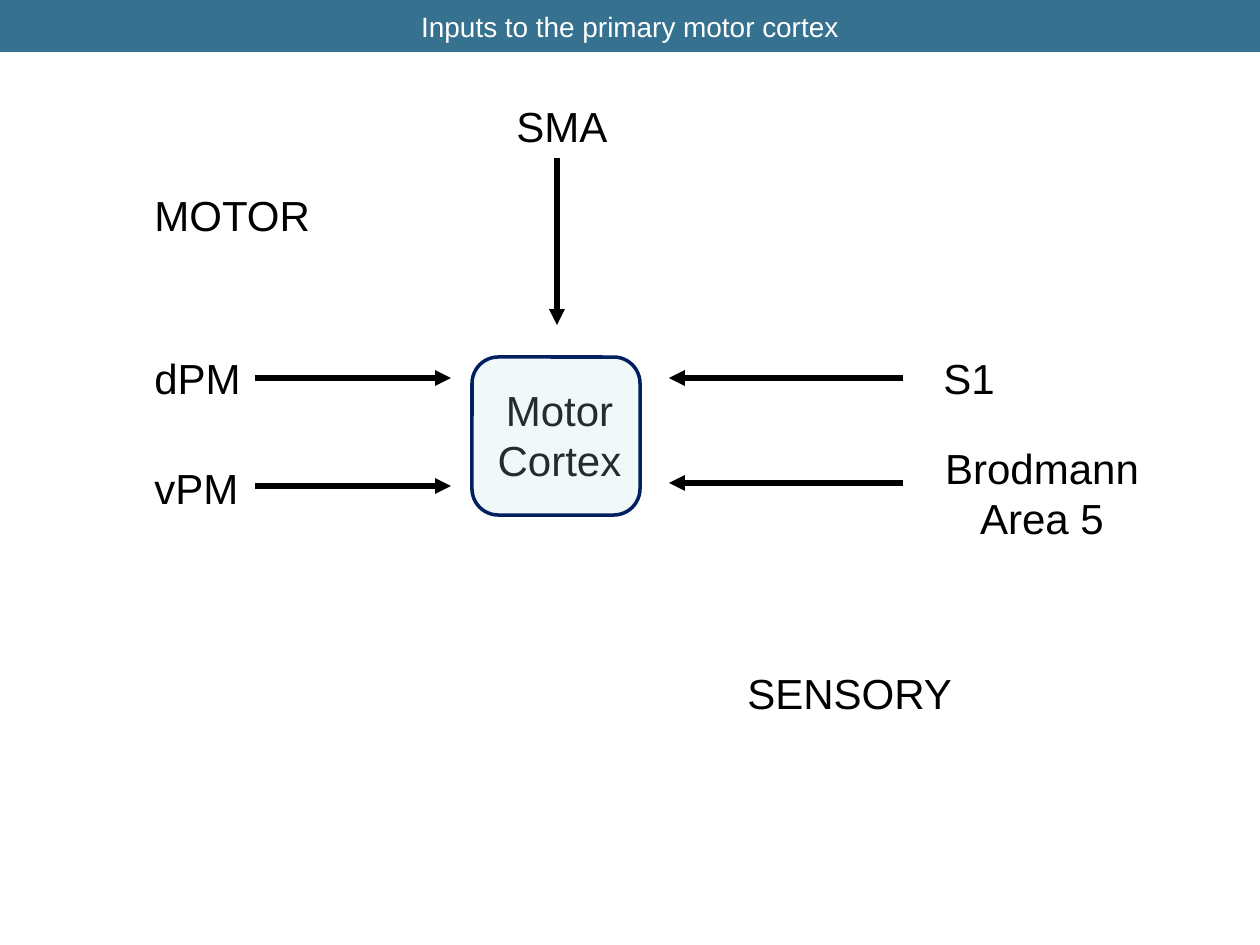
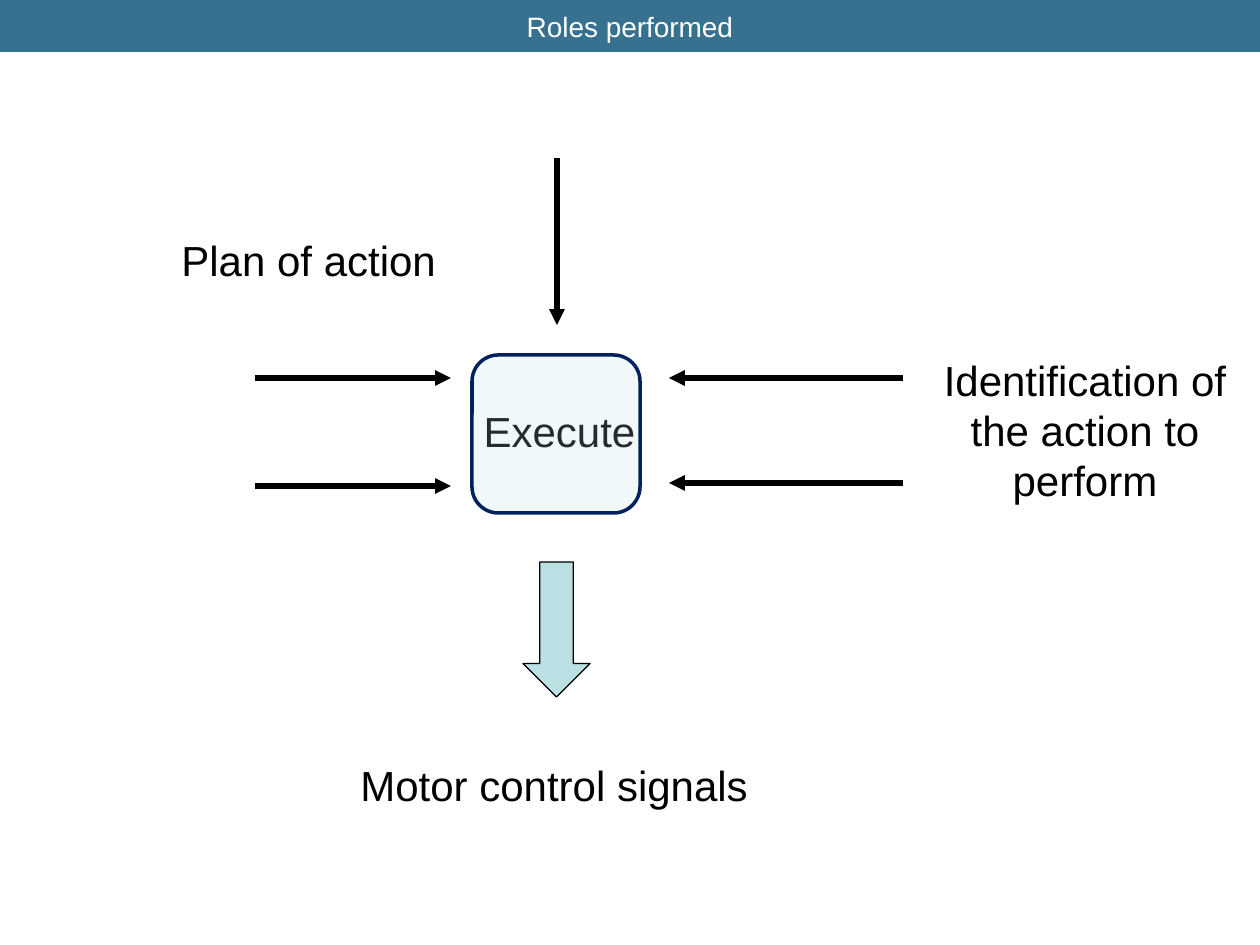
from lxml import etree
from pptx import Presentation
from pptx.dml.color import RGBColor
from pptx.enum.shapes import MSO_CONNECTOR, MSO_SHAPE
from pptx.enum.text import MSO_ANCHOR, PP_ALIGN
from pptx.oxml.ns import qn
from pptx.util import Pt

PX = 914400 / 126
LEFT, CENTER = PP_ALIGN.LEFT, PP_ALIGN.CENTER
TOP, MIDDLE = MSO_ANCHOR.TOP, MSO_ANCHOR.MIDDLE
ROUNDED, DOWN_ARROW = MSO_SHAPE.ROUNDED_RECTANGLE, MSO_SHAPE.DOWN_ARROW
STRAIGHT = MSO_CONNECTOR.STRAIGHT

FONT = "Arial"
BAND, WHITE, BLACK = "36718F", "FFFFFF", "000000"
AQUA, NAVY = "BBE0E3", "002060"
rgb = RGBColor.from_string


def px(*lengths):
    return [round(n * PX) for n in lengths]


def add_text(s, text, box, size=24, color=BLACK, align=LEFT, anchor=TOP, wrap=False, fill=None):
    sp = s.shapes.add_textbox(*px(*box))
    if fill:
        sp.fill.solid()
        sp.fill.fore_color.rgb = rgb(fill)
    tf = sp.text_frame
    tf.word_wrap = wrap
    tf.vertical_anchor = anchor
    tf.text = text
    for p in tf.paragraphs:
        p.alignment = align
        p.font.name = FONT
        p.font.size = Pt(size)
        p.font.color.rgb = rgb(color)


# Arrows pointing at the cortex box: x1, y1, x2, y2
input_arrows = [
    (903, 378, 669, 378),
    (903, 483, 669, 483),
    (255, 378, 451, 378),
    (557, 158, 557, 325),
    (255, 486, 451, 486),
]

# Each slide: title, box label with its top and height, box top, labels around it
slides = [
    ("Inputs to the primary motor cortex", ("Motor Cortex", 378, 165), 357, [
        ("S1", (931, 346, 77, 63), {}),
        ("Brodmann\nArea 5", (931, 436, 222, 115), {"align": CENTER}),
        ("dPM", (142, 346, 113, 63), {}),
        ("vPM", (142, 456, 111, 64), {}),
        ("SMA", (504, 94, 117, 64), {}),
        ("SENSORY", (735, 661, 232, 64), {}),
        ("MOTOR", (142, 183, 183, 63), {}),
    ]),
    ("Roles performed", ("Execute", 399, 115), 355, [
        ("Identification of the action to perform", (930, 348, 310, 165),
         {"align": CENTER, "wrap": True}),
        ("Plan of action", (169, 228, 282, 64), {}),
        ("Motor control signals", (348, 753, 417, 64), {}),
    ]),
]

prs = Presentation()
prs.slide_width, prs.slide_height = px(1260, 945)

for title, (label, label_top, label_height), box_top, labels in slides:
    s = prs.slides.add_slide(prs.slide_layouts[6])

    # Title band
    add_text(s, title, (0, 0, 1260, 52), size=16, color=WHITE, align=CENTER,
             anchor=MIDDLE, wrap=True, fill=BAND)

    # Cortex label under a translucent box
    add_text(s, label, (451, label_top, 217, label_height), align=CENTER, wrap=True)
    sp = s.shapes.add_shape(ROUNDED, *px(472, box_top, 168, 158))
    sp.shadow.inherit = False
    sp.fill.solid()
    sp.fill.fore_color.rgb = rgb(AQUA)
    color = sp.fill._xPr.find(".//" + qn("a:srgbClr"))
    etree.SubElement(color, qn("a:alpha"), val="20000")
    sp.line.color.rgb = rgb(NAVY)
    sp.line.width = Pt(2)

    # Input arrows
    for ends in input_arrows:
        c = s.shapes.add_connector(STRAIGHT, *px(*ends))
        c.line.color.rgb = rgb(BLACK)
        c.line.width = Pt(3)
        etree.SubElement(c.line._get_or_add_ln(), qn("a:tailEnd"), type="triangle")
        etree.SubElement(c._element.spPr, qn("a:effectLst"))

    # Labels
    for text, box, options in labels:
        add_text(s, text, box, **options)

# Output arrow on the last slide
sp = s.shapes.add_shape(DOWN_ARROW, *px(523, 562, 67, 135))
sp.shadow.inherit = False
sp.fill.solid()
sp.fill.fore_color.rgb = rgb(AQUA)
sp.line.color.rgb = rgb(BLACK)
sp.line.width = Pt(0.75)

prs.save("out.pptx")
